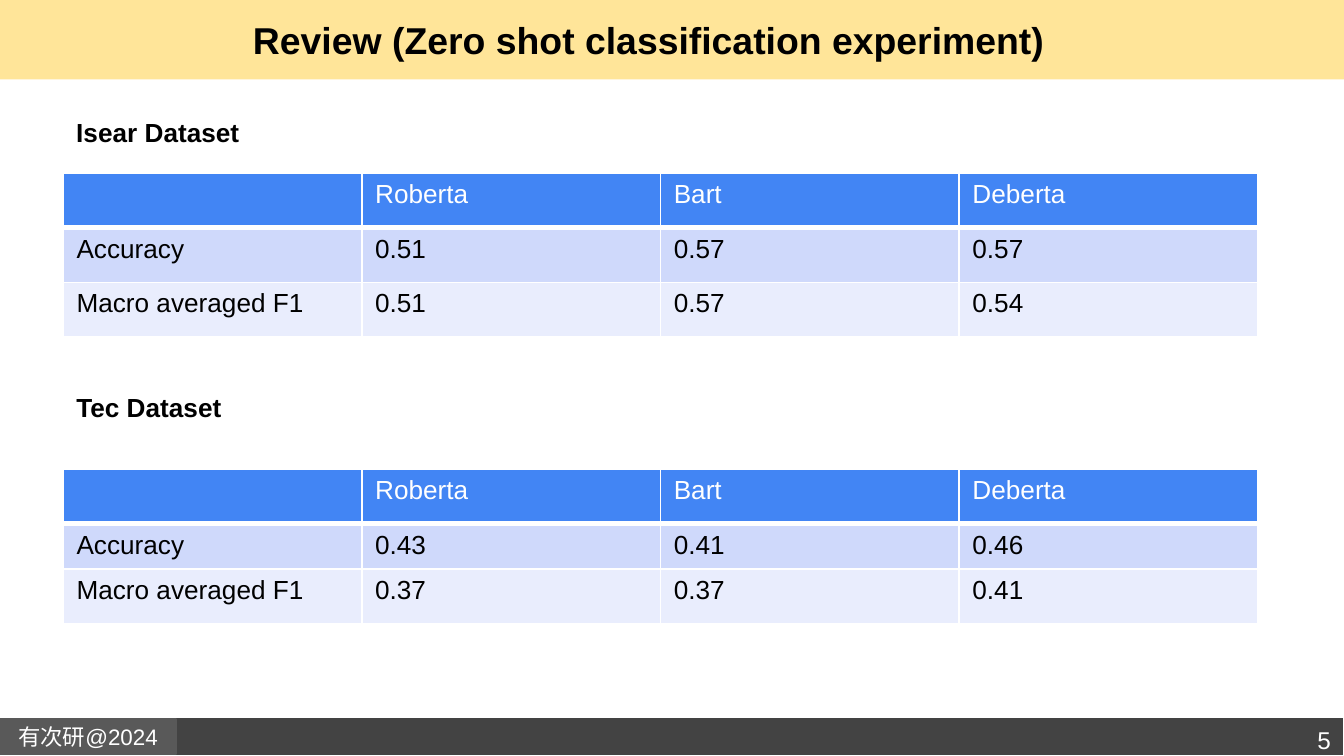
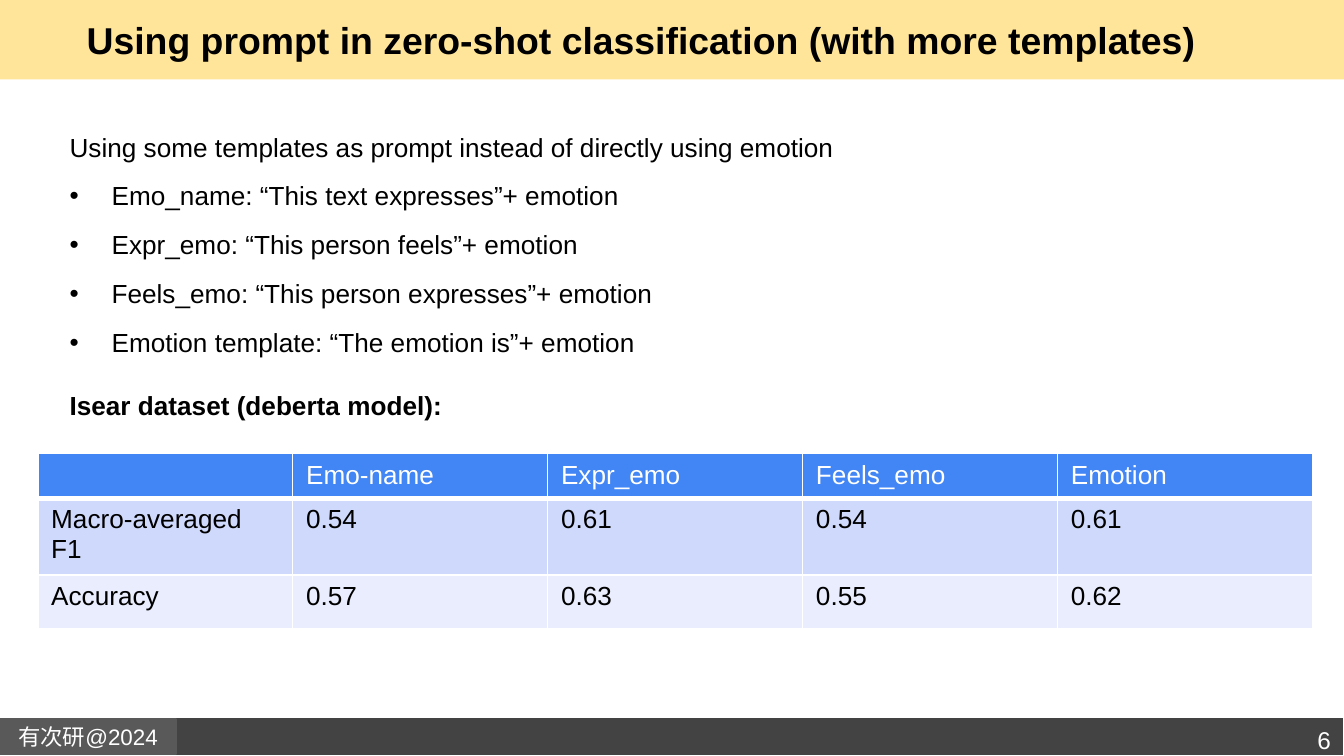
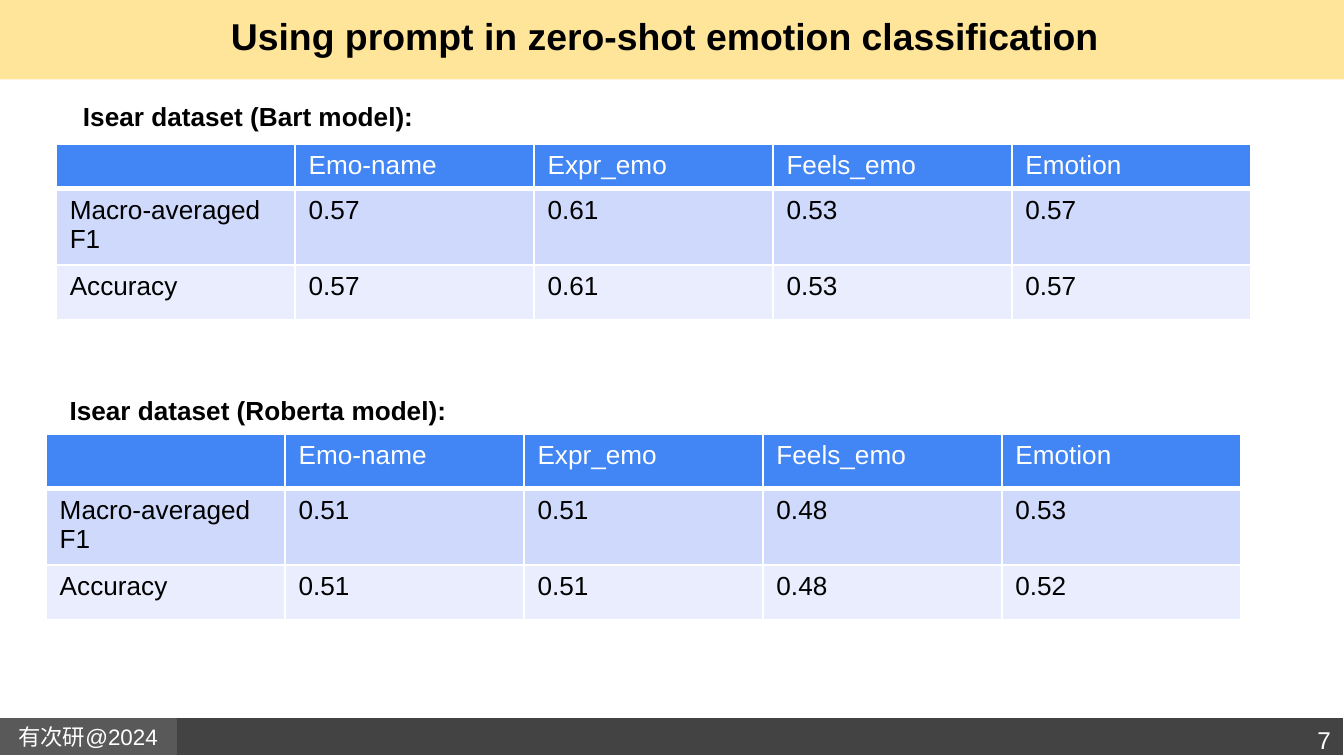
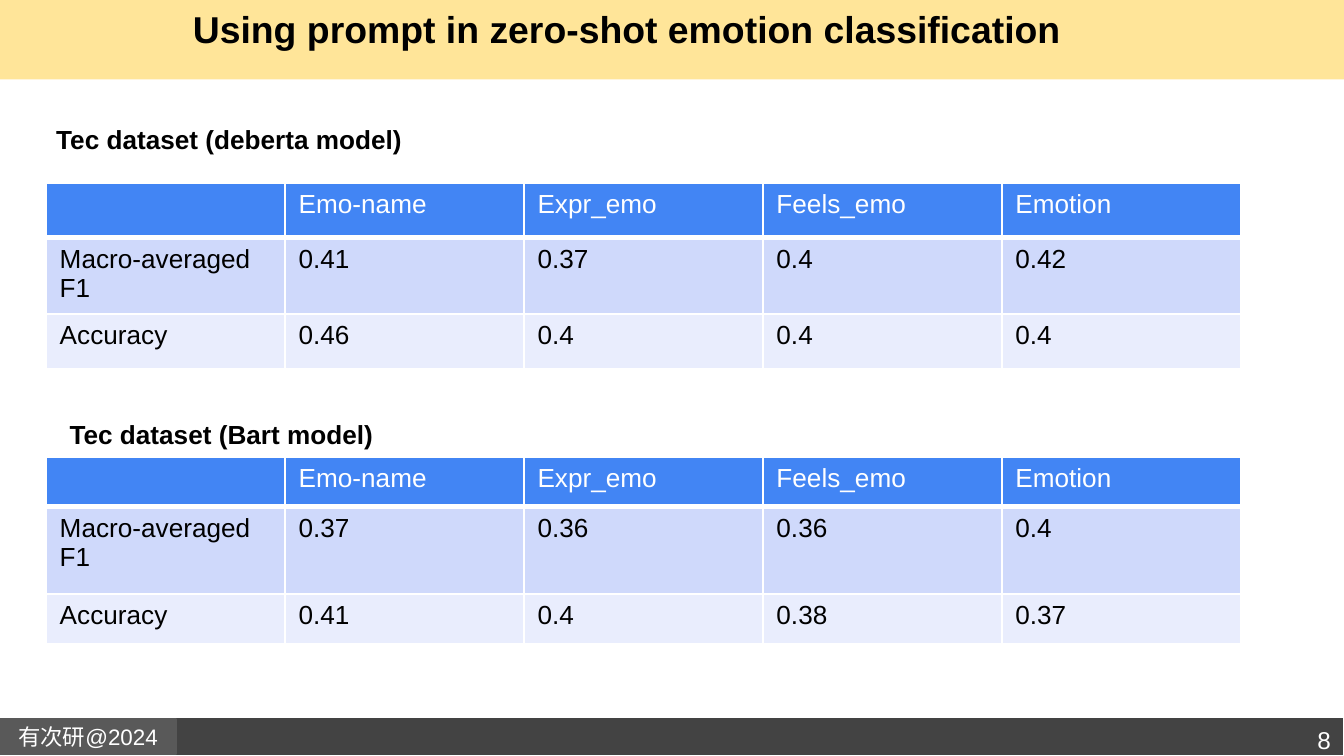
"""Build four slides on zero-shot emotion classification results."""
from lxml import etree
from pptx import Presentation
from pptx.dml.color import RGBColor
from pptx.enum.shapes import MSO_SHAPE
from pptx.enum.text import MSO_ANCHOR, PP_ALIGN
from pptx.oxml.ns import qn
from pptx.util import Pt

RECT = MSO_SHAPE.RECTANGLE
MIDDLE = MSO_ANCHOR.MIDDLE
LEFT, CENTER, RIGHT = PP_ALIGN.LEFT, PP_ALIGN.CENTER, PP_ALIGN.RIGHT

FONT = "Arial"
COLORS = {
    "title_band": "FFE599",
    "footer_band": "434343",
    "footer_label": "595959",
    "header_row": "4285F4",
    "odd_row": "CFD9FB",
    "even_row": "E9EDFD",
    "black": "000000",
    "white": "FFFFFF",
}
ROW_FILLS = ["header_row", "odd_row", "even_row"]
BORDER_TAGS = ["a:lnL", "a:lnR", "a:lnT", "a:lnB"]

BANDS = [
    (0, 0, 720, 42.5, "title_band", None),
    (0, 384.5, 720, 20.5, "footer_band", "white"),
    (0, 385.2, 94.3, 18.7, "footer_label", "footer_label"),
]
MODELS = ["", "Roberta", "Bart", "Deberta"]
TEMPLATES = ["", "Emo-name", "Expr_emo", "Feels_emo", "Emotion"]
F1 = "Macro-averaged F1"

SLIDES = [
    {
        "title": ("Review (Zero shot classification experiment)", 12.2, 5.9, 671, 32.4),
        "headings": [
            ("Isear Dataset", 33.8, 59, 188, 24.5),
            ("Tec Dataset", 33.8, 206, 131, 24.5),
        ],
        "tables": [
            (33.8, 92.9, 640, [29.2, 29.2, 29.2], [
                MODELS,
                ["Accuracy", "0.51", "0.57", "0.57"],
                ["Macro averaged F1", "0.51", "0.57", "0.54"],
            ]),
            (33.8, 251.5, 640, [29.2, 24, 29.2], [
                MODELS,
                ["Accuracy", "0.43", "0.41", "0.46"],
                ["Macro averaged F1", "0.37", "0.37", "0.41"],
            ]),
        ],
    },
    {
        "title": ("Using prompt in zero-shot classification (with more templates)",
                  30.2, 5.9, 627, 48.2),
        "intro": "Using some templates as prompt instead of directly using emotion",
        "prompts": [
            "Emo_name: “This text expresses”+ emotion",
            "Expr_emo: “This person feels”+ emotion",
            "Feels_emo: “This person expresses”+ emotion",
            "Emotion template: “The emotion is”+ emotion",
        ],
        "closing": "Isear dataset (deberta model):",
        "tables": [
            (20.2, 243, 683, [23.6, 40.7, 29.2], [
                TEMPLATES,
                [F1, "0.54", "0.61", "0.54", "0.61"],
                ["Accuracy", "0.57", "0.63", "0.55", "0.62"],
            ]),
        ],
    },
    {
        "title": ("Using prompt in zero-shot emotion classification", 20.9, 3.6, 671, 30),
        "headings": [
            ("Isear dataset (Bart model):", 37.4, 50.4, 235, 41),
            ("Isear dataset (Roberta model):", 30.2, 207.5, 271, 42),
        ],
        "tables": [
            (30.2, 77.2, 640, [23.2, 38.8, 29.2], [
                TEMPLATES,
                [F1, "0.57", "0.61", "0.53", "0.57"],
                ["Accuracy", "0.57", "0.61", "0.53", "0.57"],
            ]),
            (24.8, 232.7, 640, [29.2, 38.8, 29.2], [
                TEMPLATES,
                [F1, "0.51", "0.51", "0.48", "0.53"],
                ["Accuracy", "0.51", "0.51", "0.48", "0.52"],
            ]),
        ],
    },
    {
        "title": ("Using prompt in zero-shot emotion classification", 54, 0, 564, 31.7),
        "headings": [
            ("Tec dataset (deberta model)", 23, 62.8, 264, 25),
            ("Tec dataset (Bart model)", 30.2, 220.5, 188, 24.5),
        ],
        "tables": [
            (24.8, 98.2, 640, [29.2, 40.9, 29.2], [
                TEMPLATES,
                [F1, "0.41", "0.37", "0.4", "0.42"],
                ["Accuracy", "0.46", "0.4", "0.4", "0.4"],
            ]),
            (24.8, 244.8, 640, [26.6, 46.8, 26.6], [
                TEMPLATES,
                [F1, "0.37", "0.36", "0.36", "0.4"],
                ["Accuracy", "0.41", "0.4", "0.38", "0.37"],
            ]),
        ],
    },
]


def write(paragraph, text, size=14, color="black", bold=False, align=LEFT):
    paragraph.alignment = align
    run = paragraph.add_run()
    run.text = text
    run.font.name = FONT
    run.font.size = Pt(size)
    run.font.bold = bold
    run.font.color.rgb = RGBColor.from_string(COLORS[color])


def add_frame(slide, left, top, width, height):
    box = slide.shapes.add_textbox(Pt(left), Pt(top), Pt(width), Pt(height))
    box.text_frame.word_wrap = True
    return box.text_frame


prs = Presentation()
prs.slide_width, prs.slide_height = Pt(720), Pt(405)

for number, content in enumerate(SLIDES, start=5):
    slide = prs.slides.add_slide(prs.slide_layouts[6])

    for left, top, width, height, fill, line in BANDS:
        band = slide.shapes.add_shape(RECT, Pt(left), Pt(top), Pt(width), Pt(height))
        band.shadow.inherit = False
        band.fill.solid()
        band.fill.fore_color.rgb = RGBColor.from_string(COLORS[fill])
        if line:
            band.line.color.rgb = RGBColor.from_string(COLORS[line])
            band.line.width = Pt(0.75)
        else:
            band.line.fill.background()
        if fill == "footer_label":
            band.text_frame.word_wrap = False
            band.text_frame.vertical_anchor = MIDDLE
            write(band.text_frame.paragraphs[0], "有次研@2024", 12, "white", align=CENTER)

    title, *title_place = content["title"]
    write(add_frame(slide, *title_place).paragraphs[0], title, 20, bold=True, align=CENTER)

    page = add_frame(slide, 644.4, 381.6, 75.6, 26.6)
    page.margin_top = page.margin_bottom = Pt(7.2)
    write(page.paragraphs[0], str(number), 13, "white", align=RIGHT)

    for heading, *place in content.get("headings", []):
        write(add_frame(slide, *place).paragraphs[0], heading, bold=True)

    if "prompts" in content:
        body = add_frame(slide, 30.2, 66.6, 608, 193.7)
        write(body.paragraphs[0], content["intro"])
        for prompt in content["prompts"]:
            item = body.add_paragraph()
            item.line_spacing = 1.5
            item.space_before = Pt(1)
            write(item, prompt)
            props = item._p.get_or_add_pPr()
            props.set("marL", str(Pt(22.5)))
            props.set("indent", str(-Pt(22.5)))
            etree.SubElement(props, qn("a:buFont"), typeface=FONT)
            etree.SubElement(props, qn("a:buChar"), char="•")
        closing = body.add_paragraph()
        closing.space_before = Pt(17)
        write(closing, content["closing"], bold=True)

    for left, top, width, heights, rows in content["tables"]:
        scores = slide.shapes.add_table(
            len(rows), len(rows[0]), Pt(left), Pt(top), Pt(width), Pt(sum(heights))).table
        for column in scores.columns:
            column.width = Pt(width / len(rows[0]))
        for r, values in enumerate(rows):
            scores.rows[r].height = Pt(heights[r])
            for c, value in enumerate(values):
                cell = scores.cell(r, c)
                paragraph = cell.text_frame.paragraphs[0]
                if value:
                    write(paragraph, value, color="black" if r else "white")
                else:
                    etree.SubElement(paragraph._p, qn("a:endParaRPr"), sz="1400")
                cell_props = cell._tc.get_or_add_tcPr()
                for tag in BORDER_TAGS:
                    weight = 3 if r == 0 and tag == "a:lnB" else 1
                    border = etree.SubElement(cell_props, qn(tag), w=str(Pt(weight)))
                    paint = etree.SubElement(border, qn("a:solidFill"))
                    etree.SubElement(paint, qn("a:srgbClr"), val=COLORS["white"])
                cell.fill.solid()
                cell.fill.fore_color.rgb = RGBColor.from_string(COLORS[ROW_FILLS[r]])

prs.save("out.pptx")
